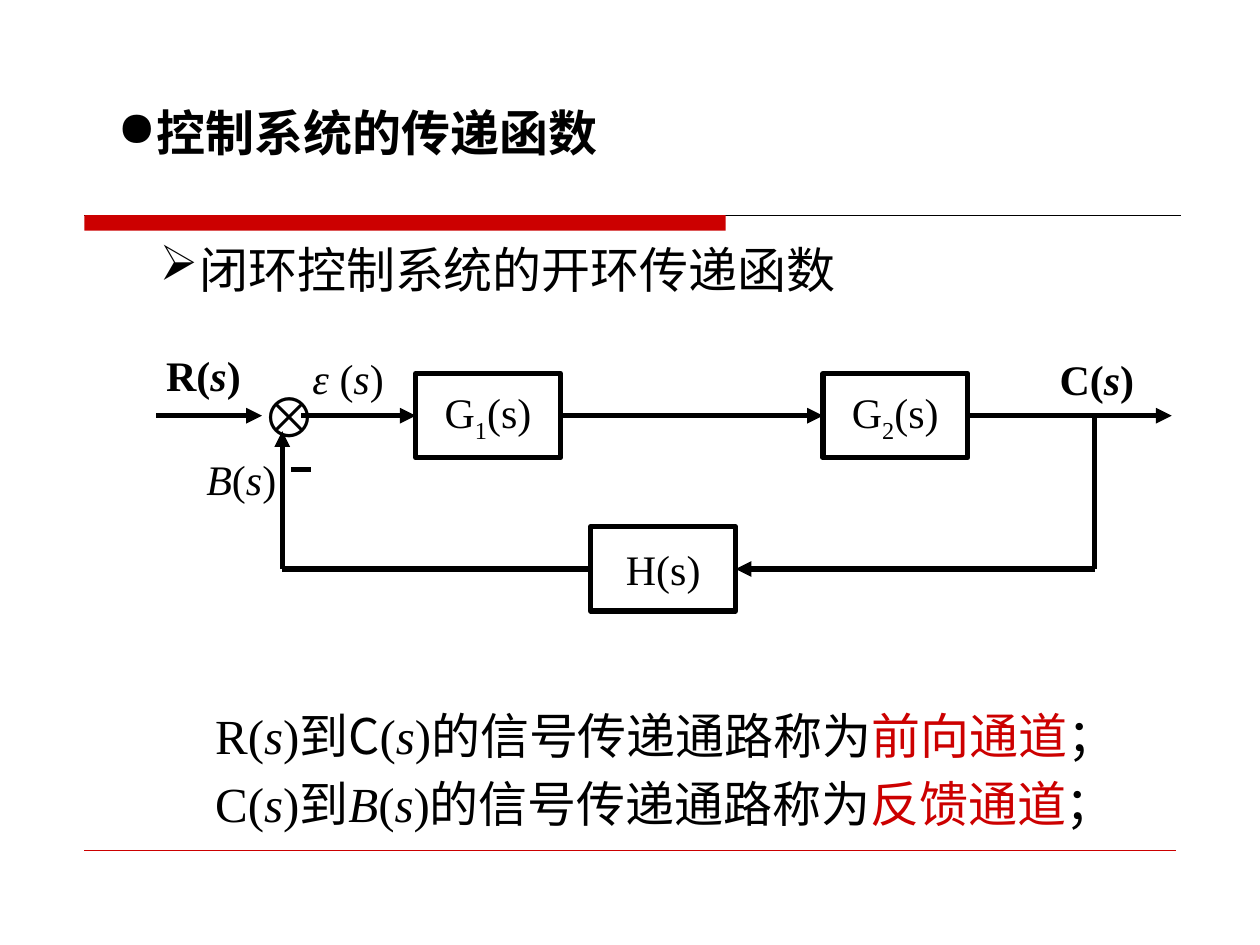
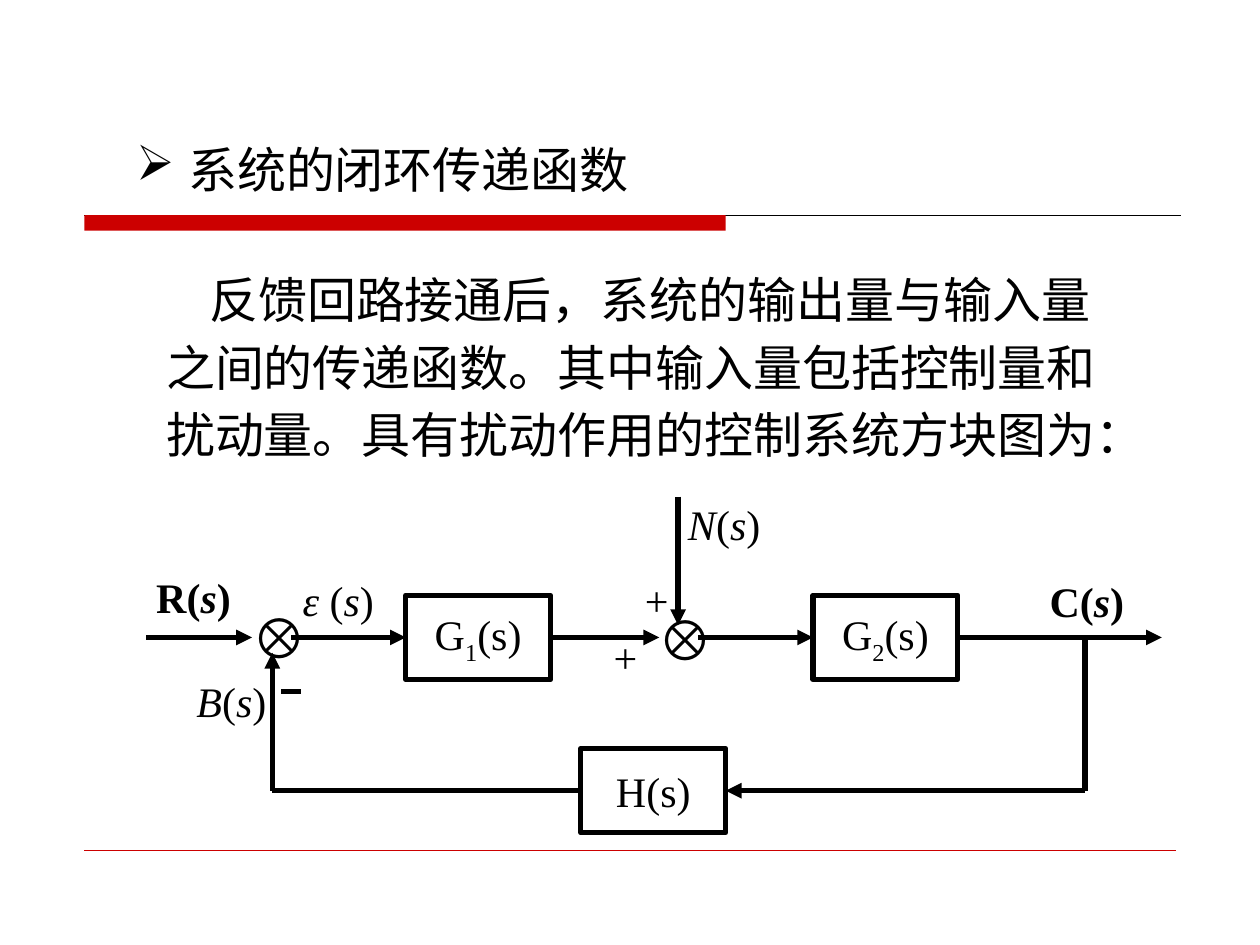
import collections

import lxml.etree
import pptx
import pptx.dml.color
import pptx.enum.dml
import pptx.enum.shapes
import pptx.enum.text
import pptx.oxml.ns
import pptx.util

Cm = pptx.util.Cm
Pt = pptx.util.Pt
qn = pptx.oxml.ns.qn

COLORS = {"ink": "000000", "accent": "CC0000"}
LATIN = "Times New Roman"
HAN = "Noto Sans CJK SC"
HEADING_SIZE = 28
LABEL_SIZE = 24
ADDER_SIZE = 32
LEADING = 1.15
TITLE_ONLY = 5

BLOCK_W, BLOCK_H = 2.92, 1.7
FORWARD_Y, FEEDBACK_Y = 8.38, 11.47
TOP, LEFT, BOTTOM, RIGHT = range(4)

Area = collections.namedtuple("Area", "slide dx dy")
Port = collections.namedtuple("Port", "block side")


def rgb(name):
    return pptx.dml.color.RGBColor.from_string(COLORS[name])


def add_run(paragraph, text, size, font=LATIN, color="ink", bold=False,
            italic=False, subscript=False):
    run = paragraph.add_run()
    run.text = text
    run.font.name = font
    run.font.size = Pt(size)
    run.font.bold = bold
    run.font.italic = italic
    run.font.color.rgb = rgb(color)
    properties = run._r.get_or_add_rPr()
    if subscript:
        properties.set("baseline", "-25000")
    east_asian = lxml.etree.Element(qn("a:ea"), typeface=HAN)
    properties.find(qn("a:latin")).addnext(east_asian)


def add_runs(paragraph, runs, size):
    for text, style in runs:
        add_run(paragraph, text, size, **style)


def set_indent(paragraph, first, margin=0.0, bullet=None):
    properties = paragraph._p.get_or_add_pPr()
    properties.set("marL", str(Cm(margin)))
    properties.set("indent", str(Cm(first)))
    if bullet:
        lxml.etree.SubElement(properties, qn("a:buChar"), char=bullet)


def bullet_line(paragraph, bullet, hang, runs, spacing):
    set_indent(paragraph, -hang, hang, bullet)
    paragraph.alignment = pptx.enum.text.PP_ALIGN.LEFT
    paragraph.line_spacing = spacing
    add_runs(paragraph, runs, HEADING_SIZE)


def add_title(slide, box, bullet, hang, runs, spacing=1.0):
    title = slide.shapes.title
    title.left, title.top, title.width, title.height = map(Cm, box)
    frame = title.text_frame
    frame.word_wrap = True
    frame.auto_size = pptx.enum.text.MSO_AUTO_SIZE.NONE
    frame.vertical_anchor = pptx.enum.text.MSO_ANCHOR.TOP
    bullet_line(frame.paragraphs[0], bullet, hang, runs, spacing)


def add_text_frame(slide, box, wrap=True):
    frame = slide.shapes.add_textbox(*map(Cm, box)).text_frame
    frame.word_wrap = wrap
    return frame


def add_line(area, start, end, arrow=False, color="ink", width=3):
    begin_at, end_at = [
        (0, 0) if isinstance(point, Port)
        else (Cm(point[0] + area.dx), Cm(point[1] + area.dy))
        for point in (start, end)
    ]
    line = area.slide.shapes.add_connector(
        pptx.enum.shapes.MSO_CONNECTOR.STRAIGHT, *begin_at, *end_at)
    if isinstance(start, Port):
        line.begin_connect(*start)
    if isinstance(end, Port):
        line.end_connect(*end)
    line.line.color.rgb = rgb(color)
    line.line.width = Pt(width)
    if arrow:
        lxml.etree.SubElement(
            line.line._get_or_add_ln(), qn("a:tailEnd"), type="triangle")
    lxml.etree.SubElement(line._element.spPr, qn("a:effectLst"))


def add_label(area, x, y, width, runs, size=LABEL_SIZE, height=1.28):
    box = (x + area.dx, y + area.dy, width, height)
    frame = add_text_frame(area.slide, box, wrap=False)
    add_runs(frame.paragraphs[0], runs, size)


def add_adder(area, x, y):
    add_label(area, x, y, 1.37, [("⊗", {})], ADDER_SIZE, 1.6)


def add_block(area, x, middle, runs):
    block = area.slide.shapes.add_shape(
        pptx.enum.shapes.MSO_SHAPE.RECTANGLE,
        Cm(x + area.dx), Cm(middle - BLOCK_H / 2 + area.dy),
        Cm(BLOCK_W), Cm(BLOCK_H))
    block.shadow.inherit = False
    block.fill.background()
    block.line.color.rgb = rgb("ink")
    block.line.width = Pt(3)
    frame = block.text_frame
    frame.word_wrap = False
    frame.vertical_anchor = pptx.enum.text.MSO_ANCHOR.MIDDLE
    frame.paragraphs[0].alignment = pptx.enum.text.PP_ALIGN.CENTER
    add_runs(frame.paragraphs[0], runs, LABEL_SIZE)
    return block


def signal(name, bold=False, italic=False):
    upright, slanted = {"bold": bold}, {"bold": bold, "italic": True}
    opening = [(name, slanted), ("(", upright)] if italic else [(name + "(", upright)]
    return opening + [("s", slanted), (")", upright)]


def gain(index):
    return [("G", {}), (index, {"subscript": True}), ("(s)", {})]


def add_frame_lines(slide):
    page = Area(slide, 0, 0)
    add_line(page, (1.7, 4.34), (23.8, 4.34), width=0.75)
    band = slide.shapes.add_shape(
        pptx.enum.shapes.MSO_SHAPE.RECTANGLE, Cm(1.7), Cm(4.34), Cm(12.93), Cm(0.31))
    band.shadow.inherit = False
    band.fill.solid()
    band.fill.fore_color.rgb = rgb("accent")
    band.line.fill.background()
    add_line(page, (1.7, 17.14), (23.7, 17.14), color="accent", width=0.25)


def add_control_loop(area):
    controller = add_block(area, 8.38, FORWARD_Y, gain("1"))
    plant = add_block(area, 16.59, FORWARD_Y, gain("2"))
    sensor = add_block(area, 11.91, FEEDBACK_Y, [("H(s)", {})])
    branch_x, return_x = 22.07, 5.69

    add_adder(area, 5.03, 7.54)
    add_line(area, (3.15, FORWARD_Y), (5.28, FORWARD_Y), arrow=True)
    add_line(area, (6.07, FORWARD_Y), Port(controller, LEFT), arrow=True)
    add_line(area, Port(plant, RIGHT), (23.62, FORWARD_Y), arrow=True)
    add_line(area, (branch_x, FORWARD_Y), (branch_x, FEEDBACK_Y))
    add_line(area, (branch_x, FEEDBACK_Y), Port(sensor, RIGHT), arrow=True)
    add_line(area, Port(sensor, LEFT), (return_x, FEEDBACK_Y))
    add_line(area, (return_x, FEEDBACK_Y), (return_x, 8.69), arrow=True)
    add_line(area, (5.87, 9.47), (6.27, 9.47))

    add_label(area, 3.1, 6.93, 2.03, signal("R", bold=True))
    add_label(area, 21.11, 7.01, 2.03, signal("C", bold=True))
    add_label(area, 3.91, 9.02, 1.93, signal("B", italic=True))
    add_label(area, 6.05, 6.98, 1.98, signal("ε ", italic=True))
    return controller, plant


def add_disturbance(area, controller, plant):
    noise_x = 13.87
    add_adder(area, 13.2, 7.57)
    add_line(area, Port(controller, RIGHT), (13.49, FORWARD_Y), arrow=True)
    add_line(area, (14.27, FORWARD_Y), Port(plant, LEFT), arrow=True)
    add_line(area, (noise_x, 5.54), (noise_x, 8.13), arrow=True)
    add_label(area, 13.82, 5.46, 1.98, signal("N", italic=True))
    for x, y in ((12.95, 6.98), (12.32, 8.13)):
        add_label(area, x, y, 0.99, [("+", {})])


def add_channel_notes(slide):
    han = {"font": HAN}
    notes = [
        (signal("R") + [("到C", han)] + signal("")[:], "前向通道"),
        (signal("C") + [("到", han)] + signal("B", italic=True), "反馈通道"),
    ]
    frame = add_text_frame(slide, (4.09, 13.92, 19.48, 2.97))
    for number, (route, channel) in enumerate(notes):
        paragraph = frame.add_paragraph() if number else frame.paragraphs[0]
        paragraph.line_spacing = LEADING
        ending = [("的信号传递通路称为", han),
                  (channel, {"font": HAN, "color": "accent"}), ("；", han)]
        add_runs(paragraph, route + ending, HEADING_SIZE)


def build_open_loop(slide):
    add_frame_lines(slide)
    add_title(slide, (2.11, 1.93, 11.23, 1.45), "●", 0.8,
              [("控制系统的传递函数", {"bold": True})])
    subheading = add_text_frame(slide, (2.97, 4.52, 19.25, 1.45))
    bullet_line(subheading.paragraphs[0], "➢", 0.8,
                [("闭环控制系统的开环传递函数", {"font": HAN})], LEADING)
    area = Area(slide, 0, 0)
    controller, plant = add_control_loop(area)
    add_line(area, Port(controller, RIGHT), Port(plant, LEFT), arrow=True)
    add_channel_notes(slide)


def build_closed_loop(slide):
    add_frame_lines(slide)
    add_title(slide, (2.49, 2.51, 19.25, 1.52), "➢", 1.05,
              [("系统的", {}), ("闭环传递函数", {"font": HAN})], LEADING)
    definition = add_text_frame(slide, (3.1, 5.13, 19.48, 4.39)).paragraphs[0]
    set_indent(definition, 0.87)
    definition.line_spacing = LEADING
    add_run(definition, "反馈回路接通后，系统的输出量与输入量之间的传递函数。"
            "其中输入量包括控制量和扰动量。具有扰动作用的控制系统方块图为：",
            HEADING_SIZE)
    area = Area(slide, -0.2, 4.47)
    add_disturbance(area, *add_control_loop(area))


def main():
    deck = pptx.Presentation()
    deck.slide_width, deck.slide_height = Cm(25.4), Cm(19.05)
    for build in (build_open_loop, build_closed_loop):
        build(deck.slides.add_slide(deck.slide_layouts[TITLE_ONLY]))
    deck.save("out.pptx")


if __name__ == "__main__":
    main()
